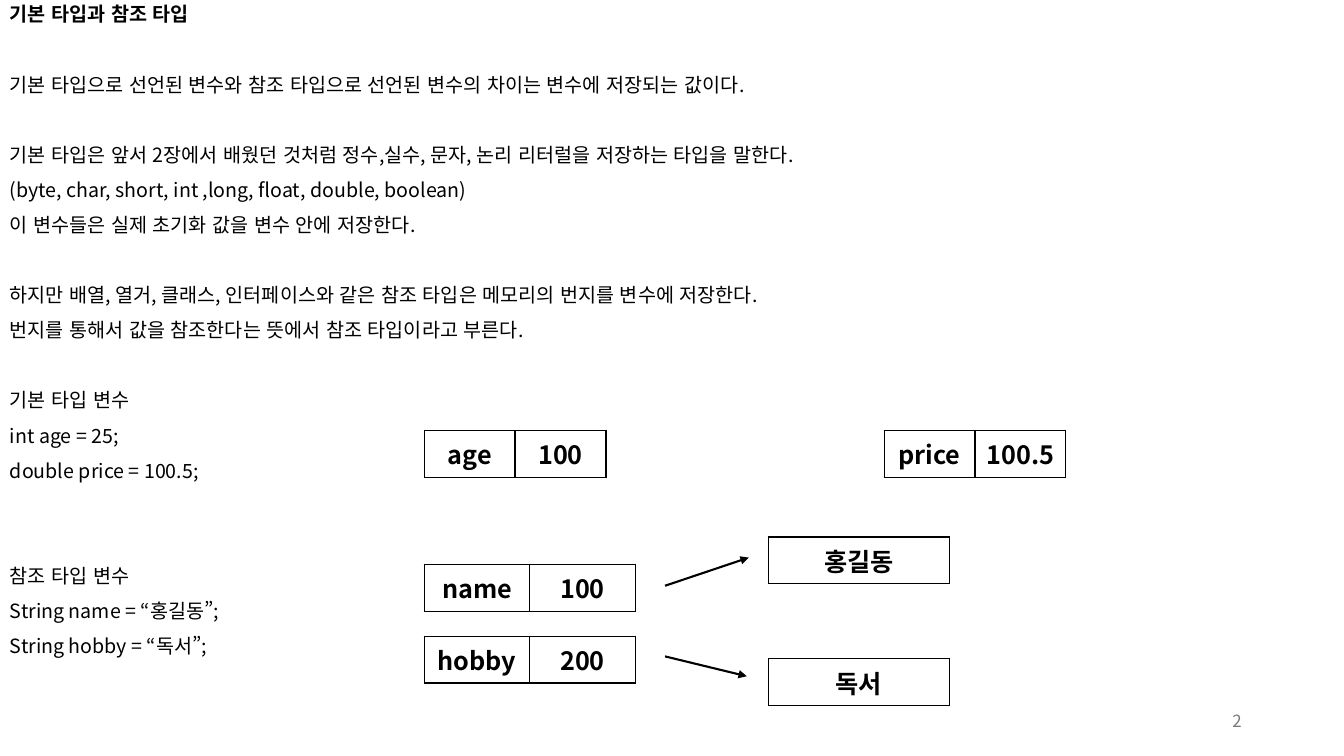
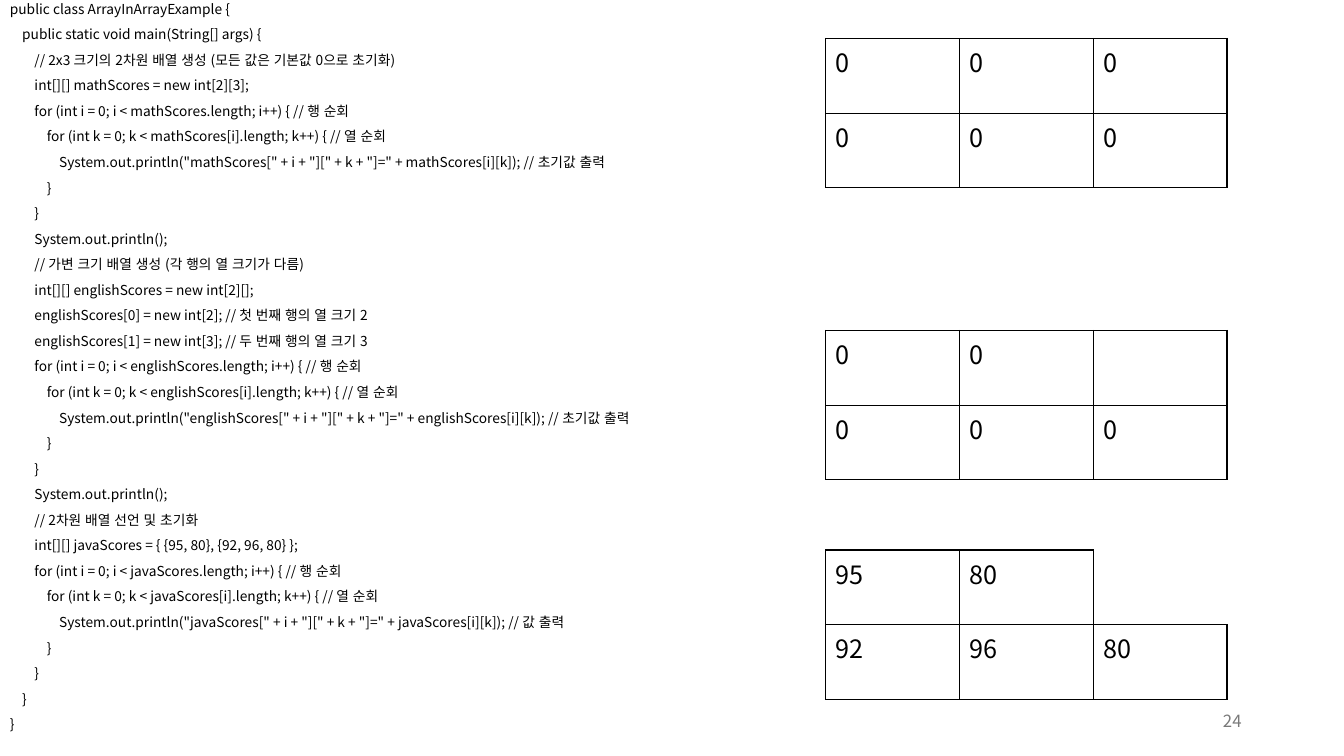
from lxml import etree
from pptx import Presentation
from pptx import util as u
from pptx.dml.color import RGBColor
from pptx.enum import lang, shapes, text
from pptx.oxml import ns

# Shared look
FONT = "Noto Sans CJK KR"
BLACK, GREY = "000000", "797979"
WIDE, HIGH = u.Cm(33.87), u.Cm(19.05)
STEP = u.Cm(0.31)  # indent of one code level

# Slide 1: (blank lines above, text)
TITLE = "기본 타입과 참조 타입"
NOTES = [
    (0, TITLE),
    (1, "기본 타입으로 선언된 변수와 참조 타입으로 선언된 변수의 차이는 변수에 저장되는 값이다."),
    (1, "기본 타입은 앞서 2장에서 배웠던 것처럼 정수,실수, 문자, 논리 리터럴을 저장하는 타입을 말한다."),
    (0, "(byte, char, short, int ,long, float, double, boolean)"),
    (0, "이 변수들은 실제 초기화 값을 변수 안에 저장한다."),
    (1, "하지만 배열, 열거, 클래스, 인터페이스와 같은 참조 타입은 메모리의 번지를 변수에 저장한다."),
    (0, "번지를 통해서 값을 참조한다는 뜻에서 참조 타입이라고 부른다."),
    (1, "기본 타입 변수"),
    (0, "int age = 25;"),
    (0, "double price = 100.5;"),
    (2, "참조 타입 변수"),
    (0, "String name = “홍길동”;"),
    (0, "String hobby = “독서”;"),
]
# left, top, column width (cm), cells
VARS = [
    (10.69, 10.85, 2.29, ["age", "100"]),
    (22.28, 10.85, 2.29, ["price", "100.5"]),
    (10.69, 14.22, 2.66, ["name", "100"]),
    (10.69, 16.03, 2.66, ["hobby", "200"]),
    (19.36, 13.53, 4.57, ["홍길동"]),
    (19.36, 16.6, 4.57, ["독서"]),
]
ARROWS = [(16.76, 14.76, 18.87, 14.05), (16.76, 16.54, 18.82, 17.04)]

# Slide 2: (indent level, text)
CODE = [
    (0, "public class ArrayInArrayExample {"),
    (1, "public static void main(String[] args) {"),
    (2, "// 2x3 크기의 2차원 배열 생성 (모든 값은 기본값 0으로 초기화)"),
    (2, "int[][] mathScores = new int[2][3];"),
    (2, "for (int i = 0; i < mathScores.length; i++) { // 행 순회"),
    (3, "for (int k = 0; k < mathScores[i].length; k++) { // 열 순회"),
    (4, 'System.out.println("mathScores[" + i + "][" + k + "]=" + mathScores[i][k]); // 초기값 출력'),
    (3, "}"),
    (2, "}"),
    (2, "System.out.println();"),
    (2, "// 가변 크기 배열 생성 (각 행의 열 크기가 다름)"),
    (2, "int[][] englishScores = new int[2][];"),
    (2, "englishScores[0] = new int[2]; // 첫 번째 행의 열 크기 2"),
    (2, "englishScores[1] = new int[3]; // 두 번째 행의 열 크기 3"),
    (2, "for (int i = 0; i < englishScores.length; i++) { // 행 순회"),
    (3, "for (int k = 0; k < englishScores[i].length; k++) { // 열 순회"),
    (4, 'System.out.println("englishScores[" + i + "][" + k + "]=" + englishScores[i][k]); // 초기값 출력'),
    (3, "}"),
    (2, "}"),
    (2, "System.out.println();"),
    (2, "// 2차원 배열 선언 및 초기화"),
    (2, "int[][] javaScores = { {95, 80}, {92, 96, 80} };"),
    (2, "for (int i = 0; i < javaScores.length; i++) { // 행 순회"),
    (3, "for (int k = 0; k < javaScores[i].length; k++) { // 열 순회"),
    (4, 'System.out.println("javaScores[" + i + "][" + k + "]=" + javaScores[i][k]); // 값 출력'),
    (3, "}"),
    (2, "}"),
    (1, "}"),
    (0, "}"),
]
# top (cm), rows; None is a cell outside the array, open at top and right
GRIDS = [
    (0.97, [["0", "0", "0"], ["0", "0", "0"]]),
    (8.33, [["0", "0", ""], ["0", "0", "0"]]),
    (13.86, [["95", "80", None], ["92", "96", "80"]]),
]


def rgb(code):
    return RGBColor.from_string(code)


def put(obj, vals):
    for key, val in vals.items():
        setattr(obj, key, val)


def write(par, words, size, color=BLACK, bold=False):
    run = par.add_run()
    run.text = words
    put(run.font, dict(name=FONT, size=u.Pt(size), bold=bold,
                       language_id=lang.MSO_LANGUAGE_ID.KOREAN))
    run.font.color.rgb = rgb(color)
    etree.SubElement(run.font._element, ns.qn("a:ea"), typeface=FONT)


def add_box(slide, left, top, wide, high):
    frame = slide.shapes.add_textbox(left, top, wide, high).text_frame
    frame.word_wrap = True
    return frame


def add_body(slide, lines, size, space):
    """Full-slide text; each line is (text, space before, indent, bold)."""
    frame = add_box(slide, 0, 0, WIDE, HIGH)
    for num, (words, gap, indent, bold) in enumerate(lines):
        par = frame.add_paragraph() if num else frame.paragraphs[0]
        put(par, dict(line_spacing=space, space_before=u.Pt(gap if num else 0)))
        if indent:
            par._p.get_or_add_pPr().set("marL", str(indent))
        write(par, words, size, bold=bold)


def add_page(slide, num):
    frame = add_box(slide, u.Cm(23.92), u.Cm(17.66), u.Cm(7.62), u.Cm(1.01))
    frame.vertical_anchor = text.MSO_ANCHOR.MIDDLE
    frame.paragraphs[0].alignment = text.PP_ALIGN.RIGHT
    write(frame.paragraphs[0], str(num), 12, GREY)


def edge(cell, bare):
    props = cell._tc.get_or_add_tcPr()
    for spot, side in enumerate(("lnL", "lnR", "lnT", "lnB")):
        line = etree.Element(ns.qn("a:" + side), w=str(u.Pt(1)))
        if side in bare:
            etree.SubElement(line, ns.qn("a:noFill"))
        else:
            fill = etree.SubElement(line, ns.qn("a:solidFill"))
            etree.SubElement(fill, ns.qn("a:srgbClr"), val=BLACK)
        props.insert(spot, line)


def add_grid(slide, left, top, wide, high, rows, bold=False):
    """Table of equal cells; wide and high are for one cell."""
    down, across = len(rows), len(rows[0])
    table = slide.shapes.add_table(
        down, across, u.Cm(left), u.Cm(top), u.Cm(wide * across), u.Cm(high * down)
    ).table
    put(table, dict(first_row=False, horz_banding=False))
    for r, row in enumerate(rows):
        for c, words in enumerate(row):
            cell = table.cell(r, c)
            cell.fill.background()
            edge(cell, ("lnR", "lnT") if words is None else ())
            par = cell.text_frame.paragraphs[0]
            par.font.size = u.Pt(18)
            if bold:
                par.alignment = text.PP_ALIGN.CENTER
            if words:
                write(par, words, 18, bold=bold)


def add_arrow(slide, ends):
    arrow = slide.shapes.add_connector(
        shapes.MSO_CONNECTOR.STRAIGHT, *[u.Cm(end) for end in ends])
    arrow.line.color.rgb = rgb(BLACK)
    arrow.line.width = u.Pt(1.5)
    etree.SubElement(arrow.line._get_or_add_ln(), ns.qn("a:tailEnd"), type="triangle")
    etree.SubElement(arrow._element.spPr, ns.qn("a:effectLst"))


def main():
    deck = Presentation()
    put(deck, dict(slide_width=WIDE, slide_height=HIGH))
    types, arrays = [deck.slides.add_slide(deck.slide_layouts[6]) for _ in range(2)]

    # Basic and reference types
    pitch = 25.14
    add_body(types, [(words, 9.9 + skip * pitch, 0, words == TITLE)
                     for skip, words in NOTES], 14, 0.9)
    for left, top, wide, row in VARS:
        add_grid(types, left, top, wide, 1.18, [row], bold=True)
    for ends in ARROWS:
        add_arrow(types, ends)
    add_page(types, 2)

    # Arrays in arrays
    add_body(arrays, [(words, 10, level * STEP, False)
                      for level, words in CODE], 9.8, 0.7)
    for top, rows in GRIDS:
        add_grid(arrays, 20.81, top, 3.37, 1.88, rows)
    add_page(arrays, 24)

    deck.save("out.pptx")


if __name__ == "__main__":
    main()
